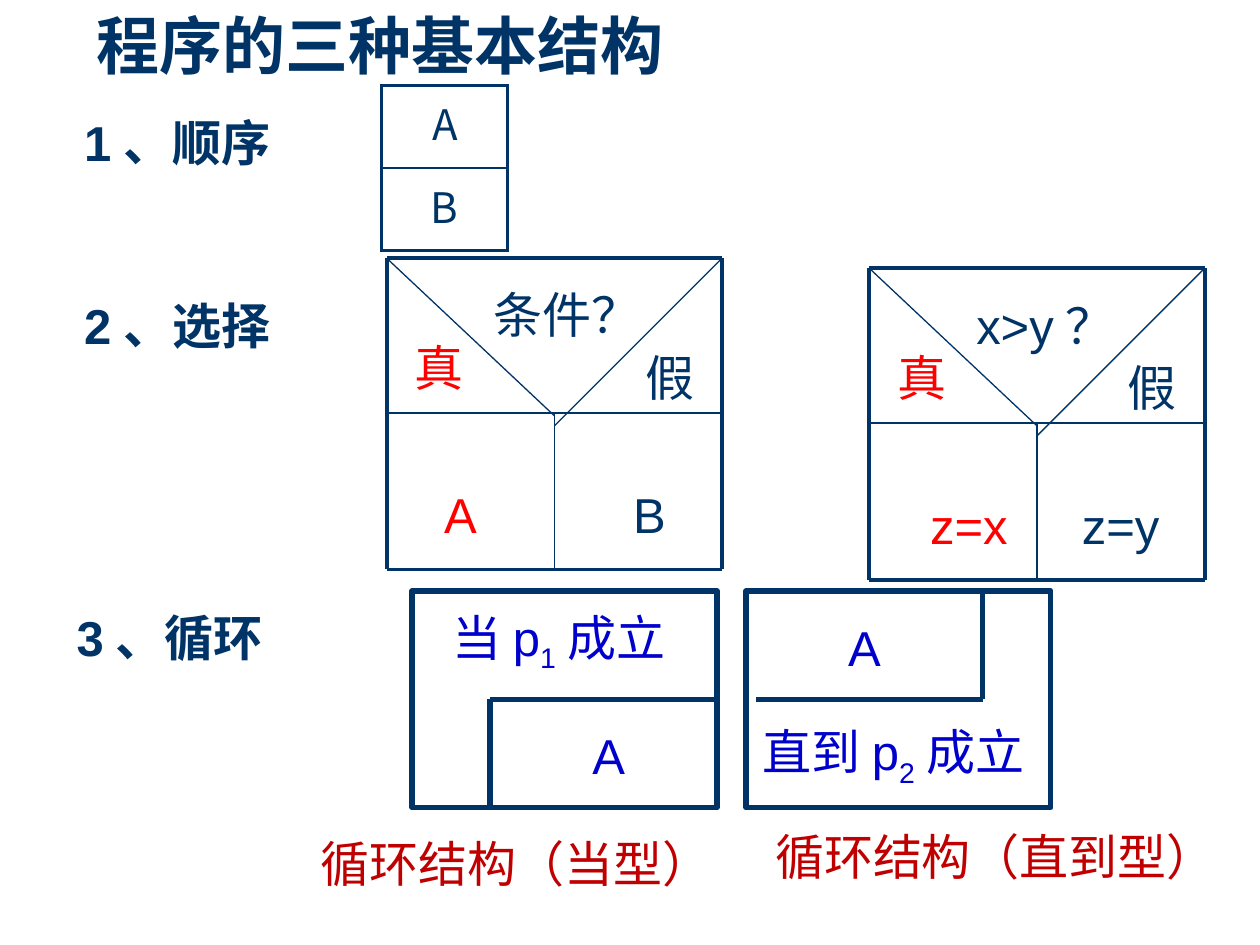
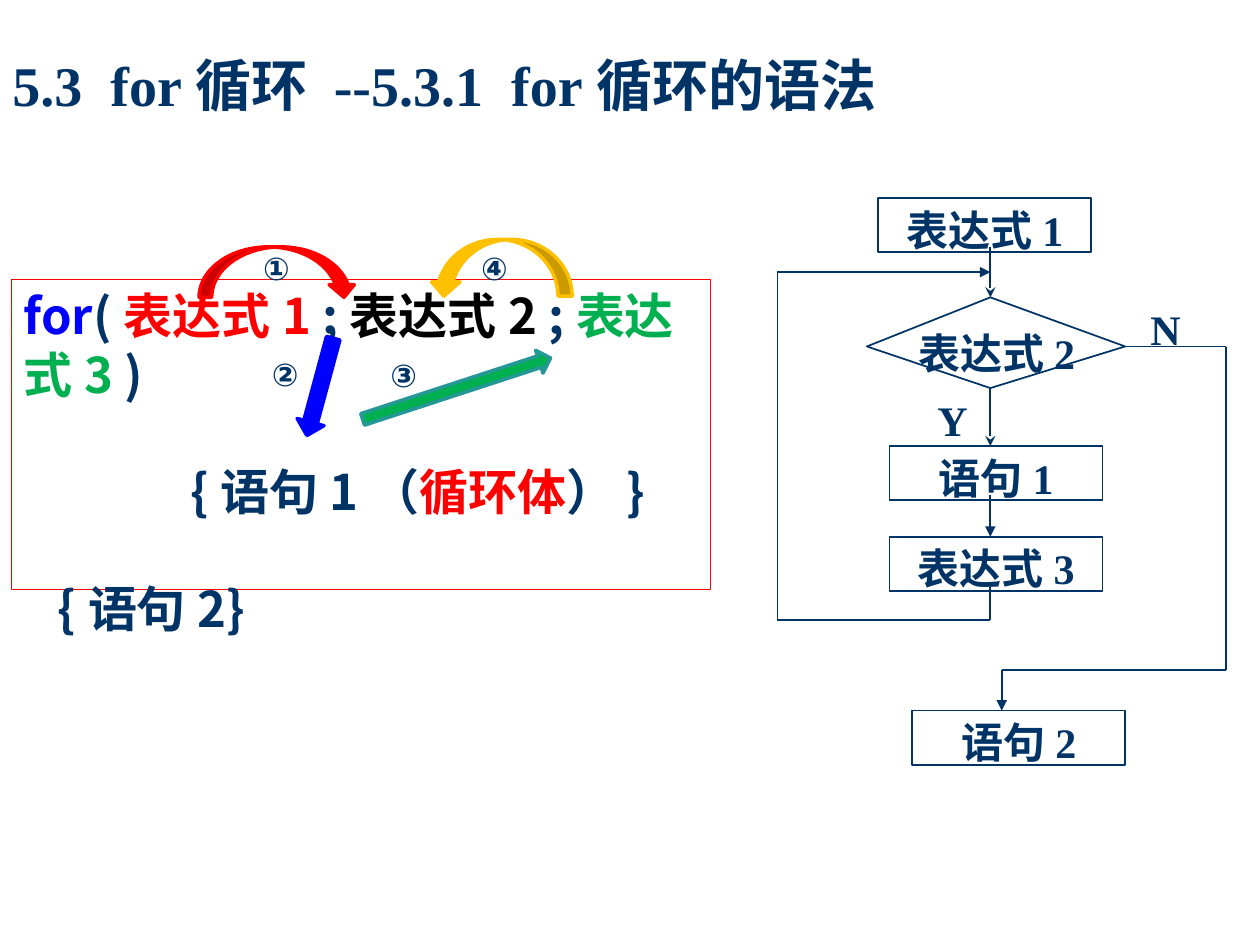
from dataclasses import dataclass
from typing import NamedTuple

from lxml import etree
from pptx import Presentation
from pptx.dml.color import RGBColor
from pptx.enum.shapes import MSO_CONNECTOR, MSO_SHAPE
from pptx.enum.text import MSO_ANCHOR, PP_ALIGN
from pptx.oxml.ns import qn
from pptx.util import Emu, Inches, Pt

STRAIGHT = MSO_CONNECTOR.STRAIGHT
RECT, PROCESS = MSO_SHAPE.RECTANGLE, MSO_SHAPE.FLOWCHART_PROCESS
RIGHT_ARROW = MSO_SHAPE.RIGHT_ARROW
CURVED_DOWN, CURVED_UP = MSO_SHAPE.CURVED_DOWN_ARROW, MSO_SHAPE.CURVED_UP_ARROW
TOP, BOTTOM = MSO_ANCHOR.TOP, MSO_ANCHOR.BOTTOM
LEFT, CENTER = PP_ALIGN.LEFT, PP_ALIGN.CENTER
RIGHT_SITE = 3

SLIDE_W, SLIDE_H = Inches(10), Inches(7.5)
COLUMNS, ROWS = 100, 75


@dataclass(frozen=True)
class Theme:
    navy: str = "003366"
    red: str = "FF0000"
    dark_red: str = "C00000"
    royal: str = "0000CC"
    blue: str = "0000FF"
    green: str = "00B050"
    teal: str = "269797"
    amber: str = "FFC000"
    black: str = "000000"
    title: int = 36
    subtitle: int = 32
    body: int = 28
    flow: int = 24
    mark: int = 18
    sans: str = "Arial"
    serif: str = "Times New Roman"
    cjk: str = "Noto Sans CJK SC"
    hair: float = 0.75
    thin: float = 1
    arrow: float = 2
    medium: float = 2.25
    thick: float = 3
    code_line: float = 33.5


T = Theme()


class Point(NamedTuple):
    x: float
    y: float


class Box(NamedTuple):
    """Left, top, width and height in grid columns and rows."""
    x: float
    y: float
    w: float
    h: float


class Run(NamedTuple):
    text: str
    color: str | None = None
    sub: bool = False


class Branch(NamedTuple):
    """A label inside a selection diagram, placed from its top left corner."""
    text: str
    x: float
    y: float
    w: float
    color: str = T.navy


class Selection(NamedTuple):
    corner: Point
    branches: list[Branch]


class BlockArrow(NamedTuple):
    kind: int
    box: Box
    angle: float
    fill: str
    line: str


class CodeLine(NamedTuple):
    runs: list[Run]
    indent: float = 0


def col(n: float) -> Emu:
    return Emu(round(n * SLIDE_W / COLUMNS))


def row(n: float) -> Emu:
    return Emu(round(n * SLIDE_H / ROWS))


def place(box: Box) -> tuple[Emu, Emu, Emu, Emu]:
    return col(box.x), row(box.y), col(box.w), row(box.h)


def rgb(color: str) -> RGBColor:
    return RGBColor.from_string(color)


def write(p, text: str | list[Run], *, size: float = T.body, color: str = T.navy,
          bold: bool = False, font: str = T.sans, align=LEFT, spacing=None) -> None:
    p.alignment = align
    if spacing:
        p.line_spacing = spacing
    for run in [Run(text)] if isinstance(text, str) else text:
        r = p.add_run()
        r.text = run.text
        r.font.size, r.font.bold, r.font.name = Pt(size), bold, font
        r.font.color.rgb = rgb(run.color or color)
        rPr = r.font._element
        etree.SubElement(rPr, qn("a:ea")).set("typeface", T.cjk)
        if run.sub:
            rPr.set("baseline", "-25000")


def add_label(s, box: Box, text: str | list[Run], *, anchor=TOP, inset=None, **fmt) -> None:
    tf = s.shapes.add_textbox(*place(box)).text_frame
    prepare(tf, anchor, inset)
    write(tf.paragraphs[0], text, **fmt)


def prepare(tf, anchor=TOP, inset: tuple[float, float] | None = None) -> None:
    tf.word_wrap, tf.vertical_anchor = True, anchor
    if inset:
        tf.margin_left = tf.margin_right = col(inset[0])
        tf.margin_top = tf.margin_bottom = row(inset[1])


def style(sp, line: str, width: float, fill: str | None = None) -> None:
    sp.shadow.inherit = False
    if fill:
        sp.fill.solid()
        sp.fill.fore_color.rgb = rgb(fill)
    else:
        sp.fill.background()
    sp.line.color.rgb, sp.line.width = rgb(line), Pt(width)


def add_outline(s, kind: int, box: Box, line: str = T.navy, width: float = T.thin):
    sp = s.shapes.add_shape(kind, *place(box))
    style(sp, line, width)
    return sp


def add_line(s, start: Point, end: Point, width: float = T.thin, head: str | None = None):
    c = s.shapes.add_connector(STRAIGHT, col(start.x), row(start.y), col(end.x), row(end.y))
    c.line.color.rgb, c.line.width = rgb(T.navy), Pt(width)
    if head:
        etree.SubElement(c.line._get_or_add_ln(), qn("a:tailEnd")).set("type", head)
    etree.SubElement(c._element.spPr, qn("a:effectLst"))
    return c


def add_sequence(s) -> None:
    box, steps = Box(30.3, 6.8, 10, 13.1), "AB"
    table = s.shapes.add_table(len(steps), 1, *place(box)).table
    table.first_row = table.horz_banding = False
    for i, step in enumerate(steps):
        cell = table.cell(i, 0)
        write(cell.text_frame.paragraphs[0], step, size=T.flow, font=T.cjk, align=CENTER)
        tcPr = cell._tc.get_or_add_tcPr()
        inner = "lnB" if i == 0 else "lnT"
        for side in ("lnL", "lnR", "lnT", "lnB"):
            width = T.thin if side == inner else T.medium
            ln = etree.SubElement(tcPr, qn(f"a:{side}"), w=str(Pt(width)))
            fill = etree.SubElement(ln, qn("a:solidFill"))
            etree.SubElement(fill, qn("a:srgbClr"), val=T.navy)
        cell.fill.background()


def add_selection(s, selection: Selection) -> None:
    x, y = selection.corner
    right, bottom, middle, split = x + 26.6, y + 24.7, x + 13.3, y + 12.3
    for start, end, width in [
        ((x, y), (right, y), T.medium),
        ((x, split), (right, split), T.thin),
        ((x, bottom), (right, bottom), T.medium),
        ((x, y), (x, bottom), T.medium),
        ((right, y), (right, bottom), T.medium),
        ((middle, split), (middle, bottom), T.thin),
        ((right, y), (middle, y + 13.3), T.hair),
        ((x, y), (middle, y + 12.5), T.hair),
    ]:
        add_line(s, Point(*start), Point(*end), width)
    for i, branch in enumerate(selection.branches):
        add_label(s, Box(x + branch.x, y + branch.y, branch.w, 5.7), branch.text,
                  color=branch.color, align=LEFT if i == 0 else CENTER)


def add_loops(s) -> None:
    top, middle, bottom = 46.9, 55.5, 64.1
    while_box, until_box = (Box(x, top, 24.2, bottom - top) for x in (32.7, 59.2))
    frame = add_outline(s, PROCESS, while_box, width=T.thick)
    add_outline(s, PROCESS, until_box, width=T.thick)
    bar = add_line(s, Point(38.9, middle), Point(56.9, middle), T.thick)
    bar.end_connect(frame, RIGHT_SITE)
    add_line(s, Point(38.9, middle), Point(38.9, bottom), T.thick)
    add_line(s, Point(60, middle), Point(78, middle), T.thick)
    add_line(s, Point(78, top), Point(78, middle), T.thick)
    for box, text, color in [
        (Box(44.4, 57.1, 7.8, 5.7), "A", T.royal),
        (Box(34.2, 47.7, 20.3, 5.7), [Run("当p"), Run("1", sub=True), Run("成立")], T.royal),
        (Box(64.7, 48.5, 7.8, 5.7), "A", T.royal),
        (Box(59.2, 56.8, 23.4, 5.7), [Run("直到p"), Run("2", sub=True), Run("成立")], T.royal),
        (Box(18.5, 65.7, 44.9, 5.7), "循环结构（当型）", T.dark_red),
        (Box(58, 65.1, 42, 5.7), "循环结构（直到型）", T.dark_red),
    ]:
        add_label(s, box, text, color=color, align=CENTER)


def build_structures(s) -> None:
    add_label(s, Box(6.7, 0, 48, 7.1), "程序的三种基本结构", size=T.title, bold=True, font=T.serif)
    for x, y, heading in [(5.7, 8.4, "1、顺序"), (5.7, 23, "2、选择"), (5.1, 47.7, "3、循环")]:
        add_label(s, Box(x, y, 20.8, 5.7), heading, bold=True)
    add_sequence(s)
    yes, no = Branch("真", 0.8, 5.8, 6.7, T.red), Branch("假", 19.1, 6.6, 6.7)
    for selection in [
        Selection(Point(30.7, 20.5), [Branch("条件？", 7.5, 1.6, 17.5), yes, no,
                                      Branch("A", 2.5, 17.5, 6.7, T.red),
                                      Branch("B", 17.5, 17.5, 6.7)]),
        Selection(Point(69, 21.3), [Branch("x>y？", 7.5, 1.7, 17), yes, no,
                                    Branch("z=x", 2.5, 17.5, 10.8, T.red),
                                    Branch("z=y", 15.8, 17.5, 8.3)]),
    ]:
        add_selection(s, selection)
    add_loops(s)


def add_code(s) -> None:
    sp = add_outline(s, RECT, Box(0.9, 22.2, 55.5, 24.6), T.red, T.hair)
    tf = sp.text_frame
    prepare(tf)
    lines = [
        CodeLine([Run("for", T.blue), Run("("), Run("表达式1 ", T.red), Run(";"),
                  Run("表达式2 ", T.black), Run(";"), Run("表达式3 ", T.green), Run(")")]),
        CodeLine([Run("{语句1（"), Run("循环体", T.red), Run("）}")], 13.2),
        CodeLine([Run("{语句2}")], 2.7),
    ]
    for i, line in enumerate(lines):
        p = tf.add_paragraph() if i else tf.paragraphs[0]
        write(p, line.runs, bold=True, font=T.cjk, spacing=Pt(T.code_line))
        if i:
            p.space_before = Pt(T.code_line)
            p._p.get_or_add_pPr().set("marL", str(col(line.indent)))


def add_flowchart(s) -> None:
    fmt = dict(size=T.flow, bold=True, font=T.serif, spacing=1.1)
    inset = (0.2, 0.1)
    for x, y, step in [(69.7, 15.7, "表达式1"), (70.6, 35.4, "语句1"),
                       (70.6, 42.6, "表达式3"), (72.4, 56.4, "语句2")]:
        tf = add_outline(s, RECT, Box(x, y, 16.9, 4.3)).text_frame
        prepare(tf, inset=inset)
        write(tf.paragraphs[0], step, align=CENTER, **fmt)

    axis, back, leave, out = 78.6, 61.7, 97.3, 79.5
    test_y, test_top, test_bottom, test_right = 27.5, 23.6, 30.8, 89.3
    outline = s.shapes.build_freeform(col(axis), row(test_top))
    outline.add_line_segments([(col(x), row(y)) for x, y in [
        (test_right, test_y), (axis, test_bottom), (68.8, test_y)]], close=True)
    style(outline.convert_to_shape(), T.navy, T.thin)
    add_label(s, Box(72.4, 25.5, 13.4, 4.3), "表达式2", inset=inset, align=CENTER, **fmt)
    add_label(s, Box(91.1, 23.6, 8.9, 4.4), "N", inset=inset, **fmt)
    add_label(s, Box(74.2, 30.8, 5.3, 4.4), "Y", inset=inset, **fmt)

    routes = [
        ([(axis, 19.6), (axis, test_top)], "stealth"),
        ([(axis, test_bottom), (axis, 35.4)], "stealth"),
        ([(axis, 39.3), (axis, 42.6)], "triangle"),
        ([(axis, 46.6), (axis, 49.2), (back, 49.2), (back, 21.6), (axis, 21.6)], "triangle"),
        ([(test_right, test_y), (leave, test_y), (leave, 53.2), (out, 53.2), (out, 56.4)],
         "triangle"),
    ]
    for points, head in routes:
        last = len(points) - 2
        for i, (start, end) in enumerate(zip(points, points[1:])):
            add_line(s, Point(*start), Point(*end), head=head if i == last else None)


def add_order_marks(s) -> None:
    for arrow in [
        BlockArrow(CURVED_DOWN, Box(15.8, 19.6, 12.5, 4), 0, T.red, T.red),
        BlockArrow(RIGHT_ARROW, Box(21.4, 29.6, 8, 2.2), 105.1, T.blue, T.blue),
        BlockArrow(RIGHT_ARROW, Box(28.4, 29.9, 15.7, 1.9), 341.9, T.green, T.teal),
        BlockArrow(CURVED_UP, Box(34.1, 19, 11.3, 4.5), 180, T.amber, T.amber),
    ]:
        sp = s.shapes.add_shape(arrow.kind, *place(arrow.box))
        sp.rotation = arrow.angle
        style(sp, arrow.line, T.arrow, arrow.fill)
    for x, y, mark in [(19.9, 19.3, "①"), (20.6, 27.7, "②"), (30, 27.8, "③"), (37.2, 19.3, "④")]:
        add_label(s, Box(x, y, 7.8, 4), mark, size=T.mark, bold=True)


def build_for_syntax(s) -> None:
    add_label(s, Box(0, 3.1, 86.7, 6.8), "5.3  for循环 --5.3.1  for循环的语法", anchor=BOTTOM,
              size=T.subtitle, bold=True, font=T.serif, spacing=0.9)
    add_code(s)
    add_flowchart(s)
    add_order_marks(s)


def main() -> None:
    prs = Presentation()
    prs.slide_width, prs.slide_height = SLIDE_W, SLIDE_H
    for build in (build_structures, build_for_syntax):
        build(prs.slides.add_slide(prs.slide_layouts[6]))
    prs.save("out.pptx")


if __name__ == "__main__":
    main()
